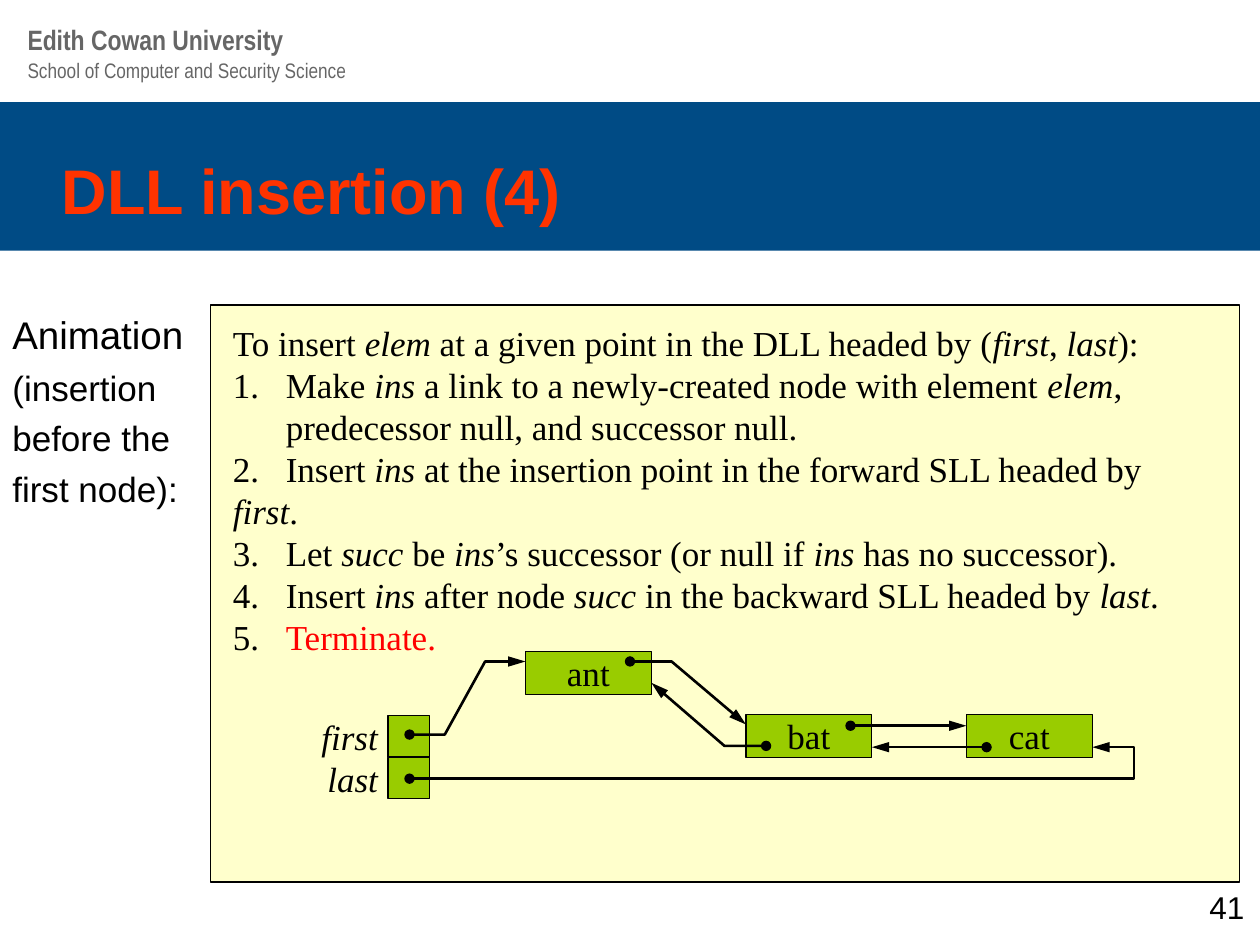
"""Build a slide on insertion into a doubly-linked list."""
from dataclasses import dataclass
from lxml import etree
from pptx import Presentation, util as u
from pptx.dml.color import RGBColor
from pptx.enum import shapes, text
from pptx.oxml.ns import qn


@dataclass(frozen=True)
class Theme:
    blue: str = "004B85"
    title: str = "FF3300"
    grey: str = "666666"
    ink: str = "000000"
    red: str = "FF0000"
    panel: str = "FFFFCC"
    node: str = "99CC00"
    sans: str = "Arial"
    thin: str = "Arial Narrow"
    serif: str = "Times New Roman"
    big: int = 36
    lead: int = 22
    main: int = 20
    page: int = 18
    head: int = 16
    small: int = 12


T = Theme()
WIDE, HIGH = 10, 7.5
TITLE = "DLL insertion (4)"
HEADS = [
    ("School of Computer and Security Science", 0.41, 0.3, T.small, False),
    ("Edith Cowan University", 0.13, 0.37, T.head, True),
]
ASIDE = ["Animation", "(insertion", "before the", "first node):"]
STEPS = [
    "To insert *elem* at a given point in the DLL headed by (*first*, *last*):",
    "1.\tMake *ins* a link to a newly-created node with element *elem*,",
    "\tpredecessor null, and successor null.",
    "2.\tInsert *ins* at the insertion point in the forward SLL headed by *first*.",
    "3.\tLet *succ* be *ins*’s successor (or null if *ins* has no successor).",
    "4.\tInsert *ins* after node *succ* in the backward SLL headed by *last*.",
    "5.\t|Terminate.|",
]
TABS = [0.42, 1.04]
NODES = [("ant", 5.17), ("bat", 5.67), ("cat", 5.67)]
ENDS = ["first", "last"]
NODE_X, STEP_X, NODE_W, NODE_H = 4.17, 1.75, 1, 0.34
CELL_X, CELL_Y, CELL = 3.08, 5.68, 0.33
LINKS = [
    [(6.75, 5.76), (7.67, 5.76)],
    [(7.83, 5.93), (6.92, 5.93)],
    [(3.25, 6.18), (9, 6.18), (9, 5.93), (8.67, 5.93)],
    [(5, 5.25), (5.33, 5.25), (5.92, 5.75)],
    [(3.25, 5.83), (3.53, 5.83), (3.85, 5.25), (4.17, 5.25)],
    [(6.08, 5.92), (5.75, 5.92), (5.17, 5.42)],
]
NULLS = [(8.5, 5.76), (4.33, 5.43)]


def rgb(code):
    return RGBColor.from_string(code)


def write(shape, lines, size=T.main, lead=None, font=T.sans, color=T.ink,
          bold=False, ital=False, align=text.PP_ALIGN.LEFT, gap=0,
          pitch=None, tabs=(), inset=None):
    """Fill a shape with lines, where *x* is italic and |x| is red."""
    frame = shape.text_frame
    frame.word_wrap = True
    frame.auto_size = text.MSO_AUTO_SIZE.NONE
    frame.vertical_anchor = text.MSO_ANCHOR.TOP
    if inset is not None:
        frame.margin_left = frame.margin_right = u.Inches(inset)
        frame.margin_top = frame.margin_bottom = u.Inches(inset)
    for row, line in enumerate(lines):
        para = frame.add_paragraph() if row else frame.paragraphs[0]
        if tabs:
            stops = etree.SubElement(para._p.get_or_add_pPr(), qn("a:tabLst"))
            for tab in tabs:
                etree.SubElement(stops, qn("a:tab"), pos=str(u.Inches(tab)), algn="l")
        para.alignment = align
        para.space_before = u.Pt(gap if row else 0)
        if pitch:
            para.line_spacing = u.Pt(pitch)
        for hot, part in enumerate(line.split("|")):
            for slant, bit in enumerate(part.split("*")):
                if bit:
                    run = para.add_run()
                    run.text = bit
                    run.font.name = font
                    run.font.size = u.Pt(lead if lead and not row else size)
                    run.font.bold = bold
                    run.font.italic = ital or slant % 2 == 1
                    run.font.color.rgb = rgb(T.red if hot % 2 else color)


def label(slide, box, lines, **form):
    write(slide.shapes.add_textbox(*map(u.Inches, box)), lines, **form)


def rect(slide, box, fill, edge=True):
    shape = slide.shapes.add_shape(shapes.MSO_SHAPE.RECTANGLE, *map(u.Inches, box))
    shape.shadow.inherit = False
    shape.fill.solid()
    shape.fill.fore_color.rgb = rgb(fill)
    if edge:
        shape.line.color.rgb = rgb(T.ink)
        shape.line.width = u.Pt(0.75)
    else:
        shape.line.fill.background()
    return shape


def link(slide, points, arrow=True):
    """Draw a link with a dot at its start and, if asked, an arrow at its end."""
    spots = [(u.Inches(x), u.Inches(y)) for x, y in points]
    if len(spots) == 2:
        shape = slide.shapes.add_connector(
            shapes.MSO_CONNECTOR.STRAIGHT, *spots[0], *spots[1])
    else:
        build = slide.shapes.build_freeform(*spots[0])
        build.add_line_segments(spots[1:], close=False)
        shape = build.convert_to_shape()
        shape.fill.background()
    shape.line.color.rgb = rgb(T.ink)
    shape.line.width = u.Pt(1.5)
    props = shape.element.spPr
    line = props.find(qn("a:ln"))
    etree.SubElement(line, qn("a:headEnd"), type="oval")
    if arrow:
        etree.SubElement(line, qn("a:tailEnd"), type="triangle", w="med", len="lg")
    etree.SubElement(props, qn("a:effectLst"))


def main():
    deck = Presentation()
    deck.slide_width, deck.slide_height = u.Inches(WIDE), u.Inches(HIGH)
    slide = deck.slides.add_slide(deck.slide_layouts[5])

    band = rect(slide, (0, 0.81, WIDE, 1.18), T.blue, edge=False)
    band.element.getparent().insert(2, band.element)
    title = slide.shapes.title
    title.left, title.top, title.width, title.height = map(
        u.Inches, (0.39, 1.09, 8.5, 0.67))
    write(title, [TITLE], size=T.big, color=T.title, bold=True)
    title.text_frame.margin_top = u.Inches(0.11)
    for words, top, high, size, bold in HEADS:
        label(slide, (0.12, top, 5.89, high), [words], size=size, bold=bold,
              font=T.thin, color=T.grey)

    label(slide, (0, 2.42, 1.64, 3.08), ASIDE, lead=T.lead, gap=5)
    label(slide, (9.5, 7, 0.5, 0.33), ["41"], size=T.page)
    rect(slide, (1.67, 2.42, 8.17, 4.58), T.panel)
    label(slide, (1.75, 2.5, 8, 2.43), STEPS, font=T.serif, pitch=24, tabs=TABS)

    for row, name in enumerate(ENDS):
        top = CELL_Y + row * CELL
        rect(slide, (CELL_X, top, CELL, CELL), T.node)
        label(slide, (2.42, top, 0.58, CELL), [name], font=T.serif, ital=True,
              align=text.PP_ALIGN.RIGHT, pitch=24, inset=0)
    for col, (name, top) in enumerate(NODES):
        node = rect(slide, (NODE_X + col * STEP_X, top, NODE_W, NODE_H), T.node)
        write(node, [name], font=T.serif, align=text.PP_ALIGN.CENTER,
              pitch=24, inset=0)
    for points in LINKS:
        link(slide, points)
    for spot in NULLS:
        link(slide, [spot, spot], arrow=False)

    deck.save("out.pptx")


if __name__ == "__main__":
    main()
